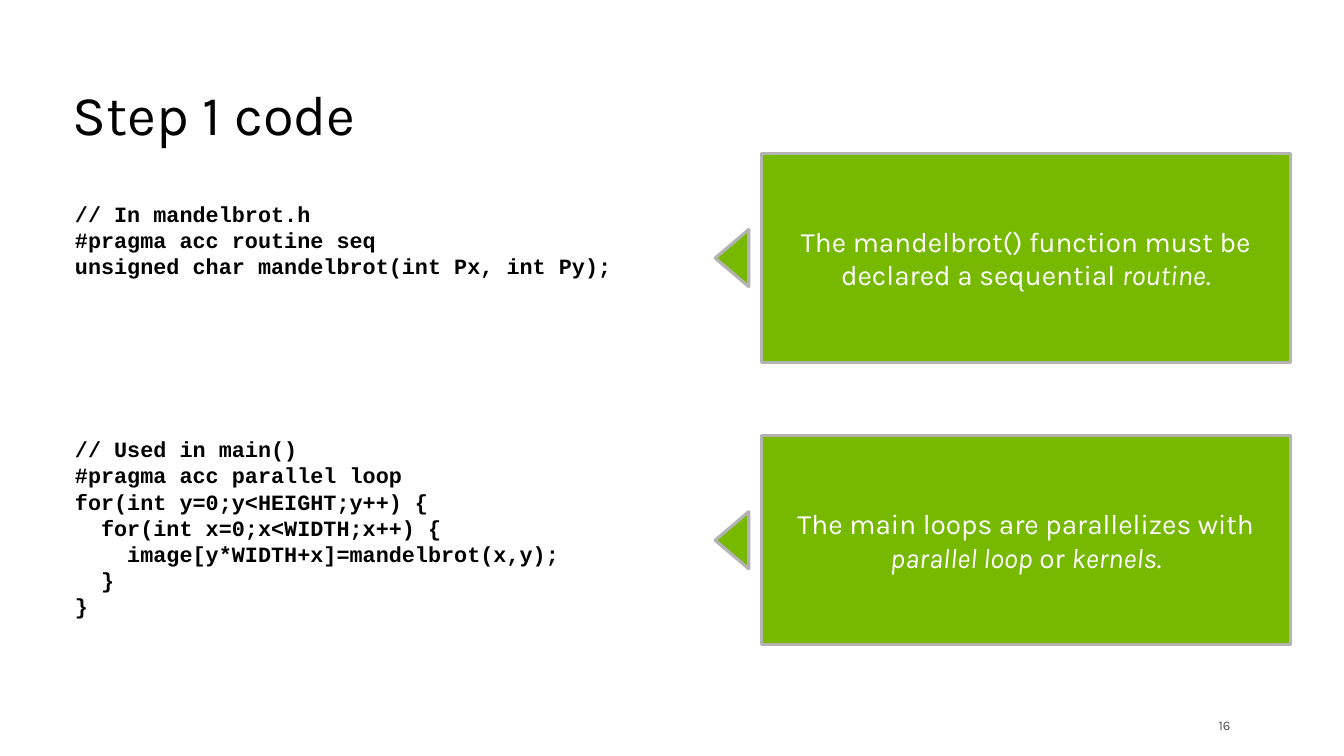
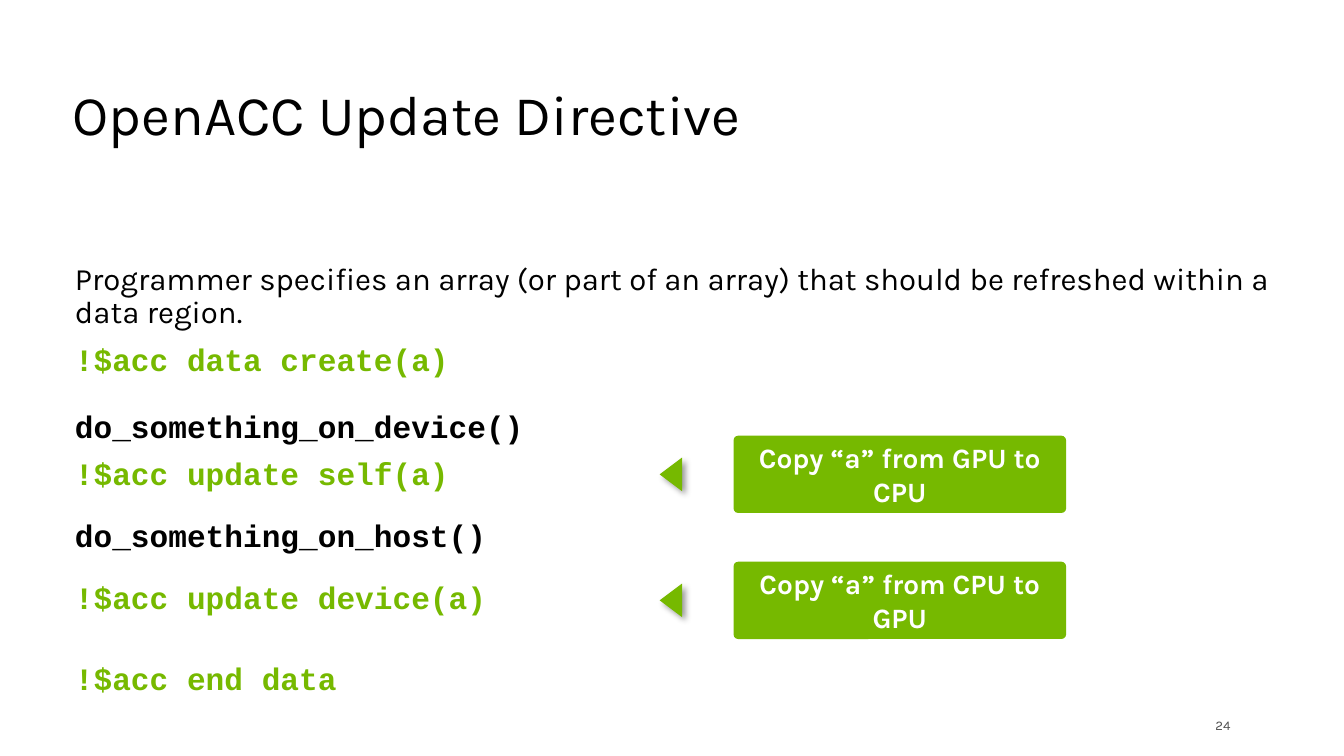
from dataclasses import dataclass

from lxml import etree
from pptx import Presentation
from pptx.dml.color import RGBColor
from pptx.enum.shapes import MSO_SHAPE as SHAPE
from pptx.enum.text import MSO_ANCHOR as ANCHOR, MSO_AUTO_SIZE as AUTO, PP_ALIGN as ALIGN
from pptx.oxml.ns import qn
from pptx.util import Pt


@dataclass(frozen=True)
class Theme:
    green: RGBColor = RGBColor(0x76, 0xB9, 0x00)
    black: RGBColor = RGBColor(0x00, 0x00, 0x00)
    white: RGBColor = RGBColor(0xFF, 0xFF, 0xFF)
    border: RGBColor = RGBColor(0xB3, 0xB3, 0xB3)
    footer: RGBColor = RGBColor(0x50, 0x50, 0x50)
    sans: str = "Karla"
    mono: str = "Courier New"
    title_size: float = 36
    body_size: float = 20
    code_size: float = 14
    callout_size: float = 18
    footer_size: float = 8.5


THEME = Theme()


@dataclass(frozen=True)
class Line:
    """One body paragraph, with its spacing in points."""
    text: str
    color: RGBColor = THEME.black
    before: float = 0
    after: float = 0
    code: bool = True


@dataclass(frozen=True)
class CalloutStyle:
    """Geometry in points and look of a box with a pointer at its left."""
    kind: SHAPE
    left: float
    width: float
    height: float
    arrow_left: float
    arrow_width: float
    arrow_height: float
    outlined: bool = False
    bold: bool = False
    arrow_shadow: bool = False


@dataclass(frozen=True)
class Run:
    text: str
    italic: bool = False


# Slide content
PANEL = CalloutStyle(SHAPE.RECTANGLE, 489.6, 339.8, 134.6, 452.2, 36.7, 21.6, outlined=True)
TAG = CalloutStyle(SHAPE.ROUNDED_RECTANGLE, 471.6, 213.8, 49.7, 420.5, 21.6, 14.4,
                   bold=True, arrow_shadow=True)

STEP_CODE = [
    Line("// In mandelbrot.h"),
    Line("#pragma acc routine seq"),
    Line("unsigned char mandelbrot(int Px, int Py);"),
    Line("// Used in main()", before=101),
    Line("#pragma acc parallel loop"),
    Line("for(int y=0;y<HEIGHT;y++) {"),
    Line("  for(int x=0;x<WIDTH;x++) {"),
    Line("    image[y*WIDTH+x]=mandelbrot(x,y);"),
    Line("  }"),
    Line("}"),
]
STEP_NOTES = [
    [Run("The mandelbrot() function must be declared a sequential "),
     Run("routine", True), Run(".")],
    [Run("The main loops are parallelizes with "), Run("parallel loop", True),
     Run(" or "), Run("kernels", True), Run(".")],
]
UPDATE_BODY = [
    Line("Programmer specifies an array (or part of an array) that should be "
         "refreshed within a data region.", after=9, code=False),
    Line("!$acc data create(a)", THEME.green),
    Line("do_something_on_device()", before=21.5),
    Line("!$acc update self(a)", THEME.green, 9, 9),
    Line("do_something_on_host()", THEME.black, 9, 9),
    Line("!$acc update device(a)", THEME.green, 9, 9),
    Line("!$acc end data", THEME.green, before=21.5),
]
UPDATE_NOTES = [[Run("Copy “a” from GPU to CPU")], [Run("Copy “a” from CPU to GPU")]]


def place(sp, left: float, top: float, width: float, height: float) -> None:
    sp.left, sp.top, sp.width, sp.height = Pt(left), Pt(top), Pt(width), Pt(height)


def style_font(font, size: float, color: RGBColor, name: str = THEME.sans,
               bold: bool = False) -> None:
    font.name, font.size, font.bold = name, Pt(size), bold
    font.color.rgb = color


def add_page(prs, title: str, number: str):
    """Add a slide with the shared title and page number."""
    slide = prs.slides.add_slide(prs.slide_layouts[1])
    sp = slide.shapes.title
    place(sp, 39.6, 51.8, 785.5, 46.8)
    tf = sp.text_frame
    tf.text = title
    tf.auto_size, tf.vertical_anchor = AUTO.NONE, ANCHOR.BOTTOM
    p = tf.paragraphs[0]
    p.alignment, p.line_spacing = ALIGN.LEFT, 0.9
    style_font(p.runs[0].font, THEME.title_size, THEME.black)

    # Page number
    sp = slide.shapes.add_textbox(Pt(768), Pt(459.4), Pt(23), Pt(13))
    tf = sp.text_frame
    tf.margin_left = tf.margin_right = tf.margin_top = tf.margin_bottom = 0
    tf.word_wrap, tf.vertical_anchor = True, ANCHOR.MIDDLE
    tf.text = number
    p = tf.paragraphs[0]
    p.alignment = ALIGN.RIGHT
    style_font(p.runs[0].font, THEME.footer_size, THEME.footer)
    return slide


def fill_body(slide, lines: list[Line], top: float, width: float, height: float,
              size: float, spacing: float) -> None:
    sp = slide.placeholders[1]
    place(sp, 41, top, width, height)
    tf = sp.text_frame
    tf.auto_size = AUTO.NONE
    for i, line in enumerate(lines):
        p = tf.paragraphs[0] if i == 0 else tf.add_paragraph()
        p.text = line.text
        pPr = p._p.get_or_add_pPr()
        pPr.set("marL", "0")
        pPr.set("indent", "0")
        etree.SubElement(pPr, qn("a:buNone"))
        p.line_spacing = spacing
        p.space_before, p.space_after = Pt(line.before), Pt(line.after)
        name = THEME.mono if line.code else THEME.sans
        style_font(p.runs[0].font, size, line.color, name, line.code)


def add_green_shape(shapes, kind: SHAPE, left: float, top: float, width: float,
                    height: float, outlined: bool):
    sp = shapes.add_shape(kind, Pt(left), Pt(top), Pt(width), Pt(height))
    sp.shadow.inherit = False
    sp.fill.solid()
    sp.fill.fore_color.rgb = THEME.green
    if outlined:
        sp.line.color.rgb = THEME.border
        sp.line.width = Pt(2)
    else:
        sp.line.fill.background()
    return sp


def add_shadow(sp) -> None:
    """Cast a soft shadow down and to the right."""
    effects = sp._element.spPr.find(qn("a:effectLst"))
    shadow = etree.SubElement(effects, qn("a:outerShdw"), blurRad=str(Pt(4)),
                              dist=str(Pt(3)), dir="2700000", rotWithShape="0")
    color = etree.SubElement(shadow, qn("a:srgbClr"), val=str(THEME.black))
    etree.SubElement(color, qn("a:alpha"), val="40000")


def add_callout(slide, style: CalloutStyle, top: float, runs: list[Run]) -> None:
    shapes = slide.shapes.add_group_shape().shapes
    # Box
    sp = add_green_shape(shapes, style.kind, style.left, top, style.width,
                         style.height, style.outlined)
    if style.kind == SHAPE.ROUNDED_RECTANGLE:
        sp.adjustments[0] = 0.06
    tf = sp.text_frame
    tf.word_wrap, tf.vertical_anchor = True, ANCHOR.MIDDLE
    p = tf.paragraphs[0]
    p.alignment = ALIGN.CENTER
    for run in runs:
        r = p.add_run()
        r.text = run.text
        style_font(r.font, THEME.callout_size, THEME.white, bold=style.bold)
        r.font.italic = run.italic

    # Pointer, level with the middle of the box
    arrow_top = top + (style.height - style.arrow_height) / 2
    sp = add_green_shape(shapes, SHAPE.ISOSCELES_TRIANGLE, style.arrow_left, arrow_top,
                         style.arrow_width, style.arrow_height, style.outlined)
    sp.rotation = 270
    if style.arrow_shadow:
        add_shadow(sp)


def add_callouts(slide, style: CalloutStyle, top: float, step: float,
                 notes: list[list[Run]]) -> None:
    for i, runs in enumerate(notes):
        add_callout(slide, style, top + i * step, runs)


def main() -> None:
    prs = Presentation()
    prs.slide_width, prs.slide_height = Pt(864), Pt(486)

    # Step 1 code
    slide = add_page(prs, "Step 1 code", "16")
    fill_body(slide, STEP_CODE, 125.3, 419.8, 333.4, THEME.code_size, 1.0)
    add_callouts(slide, PANEL, 98.6, 181.4, STEP_NOTES)

    # Update directive
    slide = add_page(prs, "OpenACC Update Directive", "24")
    fill_body(slide, UPDATE_BODY, 165.6, 783.4, 293, THEME.body_size, 0.9)
    add_callouts(slide, TAG, 280.1, 81, UPDATE_NOTES)

    prs.save("out.pptx")


if __name__ == "__main__":
    main()
